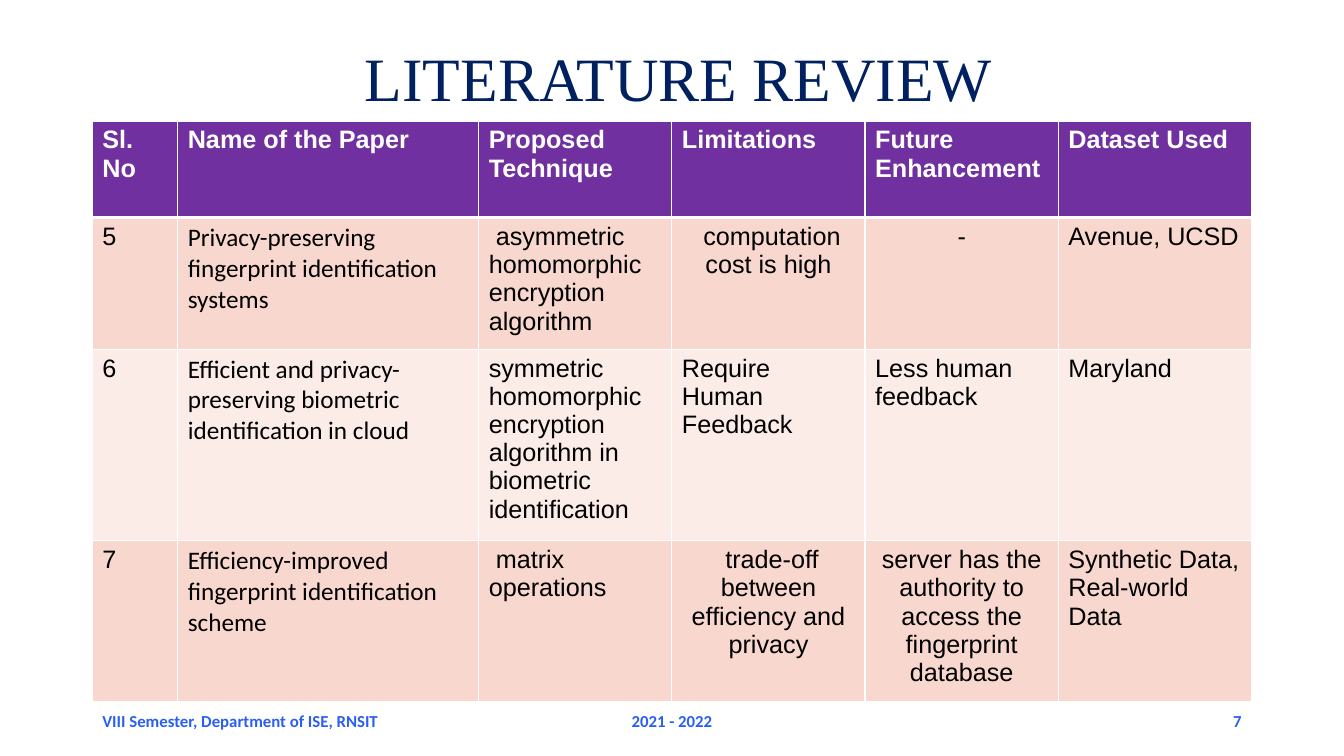
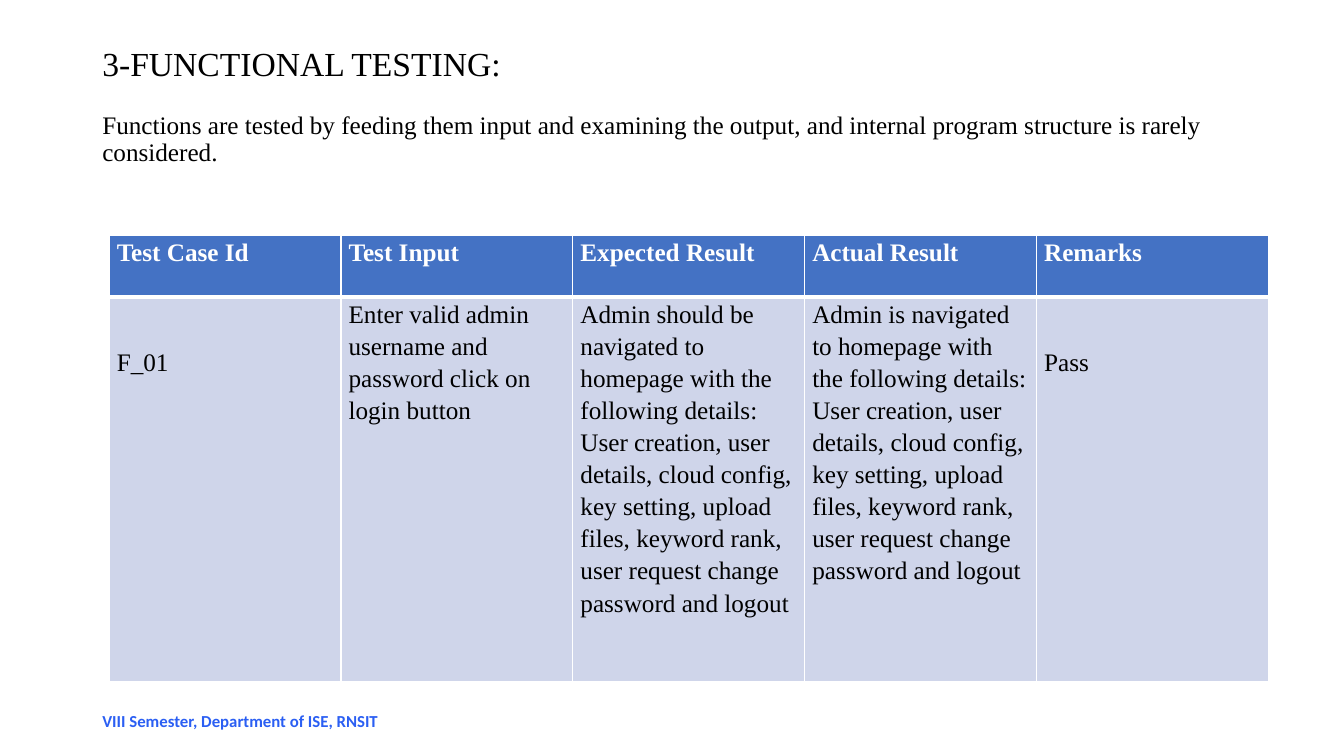
"""Build the literature review and functional testing slides."""
from dataclasses import dataclass, field
from typing import Any

from lxml import etree
from pptx import Presentation
from pptx.dml import color as col
from pptx.enum import text as tx
from pptx.oxml import ns
from pptx.util import Pt

MID = tx.PP_ALIGN.CENTER
END = tx.PP_ALIGN.RIGHT
LEFT = tx.PP_ALIGN.LEFT


@dataclass(frozen=True)
class Theme:
    """Hold the colours, fonts and type sizes."""
    navy: str = "002060"
    blue: str = "2B5FF3"
    black: str = "000000"
    white: str = "FFFFFF"
    violet: str = "7030A0"
    rose: str = "F8D7CE"
    blush: str = "FCECE8"
    royal: str = "4472C4"
    pale: str = "CFD5EA"
    serif: str = "Times New Roman"
    sans: str = "Arial"
    soft: str = "Calibri"
    big: int = 44
    head: int = 24
    body: int = 18
    foot: int = 12


T = Theme()


@dataclass(frozen=True)
class Style:
    """Describe the look of a paragraph."""
    face: str
    size: int
    hue: str
    bold: bool = False
    form: dict[str, Any] = field(default_factory=dict)


@dataclass(frozen=True)
class Box:
    """Give a place in points."""
    left: float
    top: float
    width: float
    height: float


@dataclass(frozen=True)
class Cell:
    """Give the text of a cell and what sets it apart."""
    text: str
    align: Any = LEFT
    face: str = ""
    drop: float = 0


@dataclass(frozen=True)
class Grid:
    """Describe a table with a header row and banded rows."""
    left: float
    top: float
    cols: list[float]
    rows: list[float]
    cells: list[list[Cell]]
    fills: list[str]
    face: str
    pad: tuple[float, float]
    form: dict[str, Any] = field(default_factory=dict)


def put(item: Any, form: dict[str, Any]) -> None:
    """Set each named value on an object."""
    for name, value in form.items():
        setattr(item, name, value)


def paint(par: Any, line: str, style: Style) -> None:
    """Write one styled paragraph."""
    par.text = line
    put(par, style.form)
    for run in par.runs:
        put(run.font, {"name": style.face, "size": Pt(style.size), "bold": style.bold})
        run.font.color.rgb = col.RGBColor.from_string(style.hue)


def label(slide: Any, box: Box, lines: list[tuple[str, Style]], anchor: Any) -> None:
    """Add a text box with styled paragraphs."""
    shape = slide.shapes.add_textbox(Pt(box.left), Pt(box.top), Pt(box.width), Pt(box.height))
    frame = shape.text_frame
    put(frame, {"word_wrap": True, "vertical_anchor": anchor})
    for i, (line, style) in enumerate(lines):
        par = frame.add_paragraph() if i else frame.paragraphs[0]
        paint(par, line, style)


def edge(cell: Any, sides: dict[str, int]) -> None:
    """Draw white borders of the given widths."""
    prop = cell._tc.get_or_add_tcPr()
    for i, (side, width) in enumerate(sides.items()):
        line = etree.Element(ns.qn(f"a:ln{side}"), w=str(Pt(width)))
        fill = etree.SubElement(line, ns.qn("a:solidFill"))
        etree.SubElement(fill, ns.qn("a:srgbClr"), val=T.white)
        prop.insert(i, line)


def table(slide: Any, grid: Grid) -> None:
    """Draw a table from its description."""
    size = (len(grid.rows), len(grid.cols))
    tab = slide.shapes.add_table(*size, Pt(grid.left), Pt(grid.top),
                                 Pt(sum(grid.cols)), Pt(sum(grid.rows))).table
    for part, width in zip(tab.columns, grid.cols):
        part.width = Pt(width)
    for r, (part, high) in enumerate(zip(tab.rows, grid.rows)):
        part.height = Pt(high)
        for c, item in enumerate(grid.cells[r]):
            cell = tab.cell(r, c)
            side, rim = grid.pad
            put(cell, {"margin_left": Pt(side), "margin_right": Pt(side),
                       "margin_top": Pt(rim + item.drop), "margin_bottom": Pt(rim)})
            cell.fill.solid()
            cell.fill.fore_color.rgb = col.RGBColor.from_string(grid.fills[r])
            edge(cell, {"L": 1, "R": 1, "T": 3 if r == 1 else 1, "B": 1 if r else 3})
            style = Style(item.face or grid.face, T.body, T.black if r else T.white,
                          not r, {"alignment": item.align, **grid.form})
            cell.text = item.text
            for par in cell.text_frame.paragraphs:
                paint(par, par.text, style)


def footer(slide: Any, parts: list[str]) -> None:
    """Add the footer parts in their fixed slots."""
    slots = [(66, 252, LEFT), (318, 324, MID), (678, 216, END)]
    for line, (left, width, align) in zip(parts, slots):
        style = Style(T.soft, T.foot, T.blue, True, {"alignment": align})
        label(slide, Box(left, 500.4, width, 28.8), [(line, style)], tx.MSO_ANCHOR.MIDDLE)


DEPT = "VIII Semester, Department of ISE, RNSIT"
TASKS = ("User creation, user details, cloud config, key setting, upload files, "
         "keyword rank, user request change password and logout")


def paper(num: str, name: str, *rest: Cell) -> list[Cell]:
    """Make a row of the review table."""
    return [Cell(num), Cell(name, face=T.soft), *rest]


REVIEW = Grid(
    66, 86.4, [61, 215] + [138] * 4, [69, 94, 128, 115],
    [
        [Cell(t) for t in ("Sl. No", "Name of the Paper", "Proposed\nTechnique",
                           "Limitations", "Future Enhancement", "Dataset Used")],
        paper("5", "Privacy-preserving fingerprint identification systems",
              Cell(" asymmetric homomorphic encryption algorithm"),
              Cell(" computation cost is high", MID), Cell("-", MID), Cell("Avenue, UCSD")),
        paper("6", "Efficient and privacy-preserving biometric identification in cloud",
              Cell("symmetric homomorphic encryption algorithm in biometric identification"),
              Cell("Require Human Feedback"), Cell("Less human feedback"), Cell("Maryland")),
        paper("7", "Efficiency-improved fingerprint identification scheme",
              Cell(" matrix operations"),
              Cell(" trade-off between efficiency and privacy", MID),
              Cell("server has the authority to access the fingerprint database", MID),
              Cell("Synthetic Data, Real-world Data")),
    ],
    [T.violet, T.rose, T.blush, T.rose], T.sans, (7.2, 3.6))

TESTS = Grid(
    78, 168, [165.6] * 5, [44, 275],
    [
        [Cell(t) for t in ("Test Case Id", "Test Input", "Expected Result",
                           "Actual Result", "Remarks")],
        [Cell("F_01", drop=34),
         Cell("Enter valid admin username and password click on login button"),
         Cell(f"Admin should be navigated to homepage with the following details: {TASKS}"),
         Cell(f"Admin is navigated to homepage with the following details: {TASKS}"),
         Cell("Pass", drop=34)],
    ],
    [T.royal, T.pale], T.serif, (5.4, 0), {"line_spacing": 1.15, "space_after": Pt(10)})


def main() -> None:
    """Build and save the deck."""
    deck = Presentation()
    put(deck, {"slide_width": Pt(960), "slide_height": Pt(540)})
    first, second = (deck.slides.add_slide(deck.slide_layouts[6]) for _ in range(2))

    tight = {"line_spacing": 0.9}
    title = Style(T.serif, T.big, T.navy, form={"alignment": MID, **tight})
    label(first, Box(71, 31, 828, 54.7), [("LITERATURE REVIEW", title)], tx.MSO_ANCHOR.MIDDLE)
    table(first, REVIEW)
    footer(first, [DEPT, "2021 - 2022", "7"])

    head = Style(T.serif, T.head, T.black, form=tight)
    note = Style(T.serif, T.body, T.black, form={"space_before": Pt(20.5), **tight})
    label(second, Box(66, 30.5, 828, 90), [
        ("3-FUNCTIONAL TESTING:", head),
        ("Functions are tested by feeding them input and examining the output, "
         "and internal program structure is rarely considered.", note),
    ], tx.MSO_ANCHOR.TOP)
    table(second, TESTS)
    footer(second, [DEPT])
    deck.save("out.pptx")


if __name__ == "__main__":
    main()
